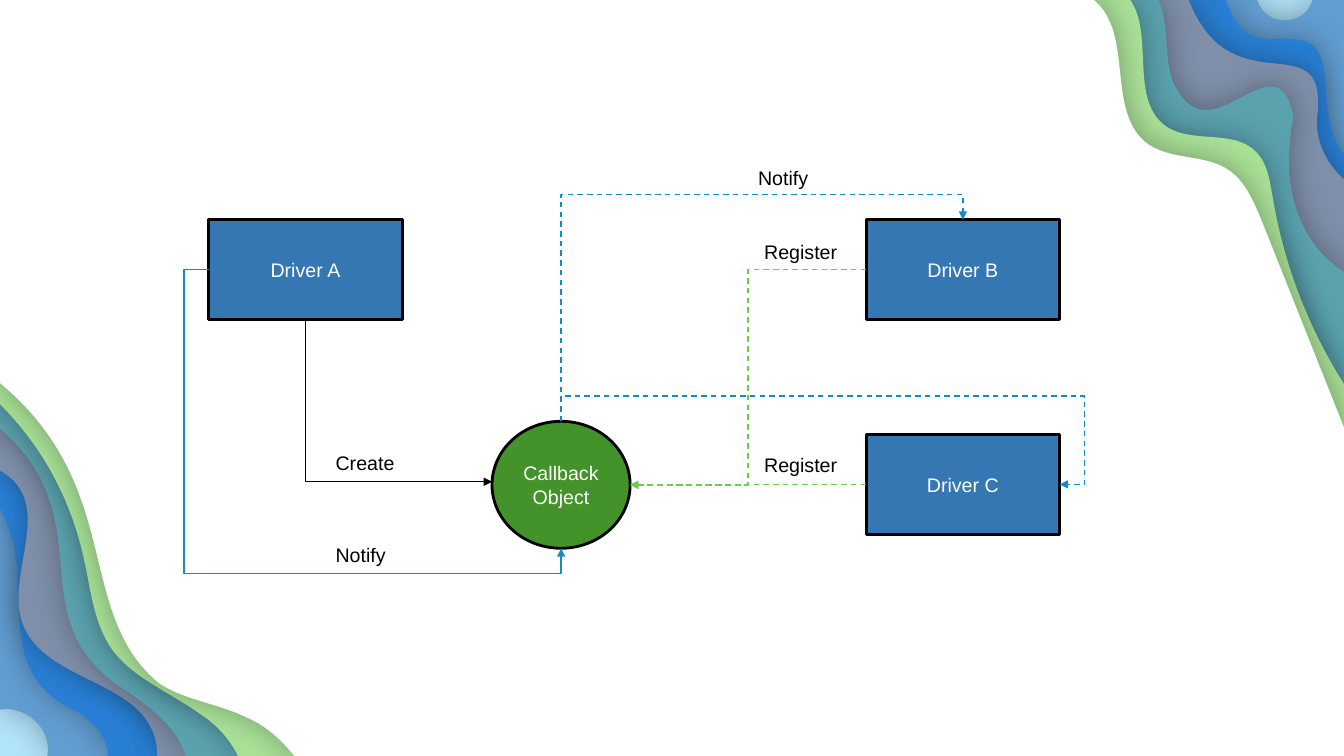
from dataclasses import dataclass

from lxml import etree
from pptx import Presentation
from pptx.dml.color import RGBColor
from pptx.enum.dml import MSO_LINE
from pptx.enum.shapes import MSO_CONNECTOR, MSO_SHAPE
from pptx.enum.text import MSO_ANCHOR, MSO_AUTO_SIZE, PP_ALIGN
from pptx.oxml.ns import qn
from pptx.util import Inches, Pt

RECT, OVAL = MSO_SHAPE.RECTANGLE, MSO_SHAPE.OVAL
ELBOW, DASH = MSO_CONNECTOR.ELBOW, MSO_LINE.DASH
MIDDLE, CENTER, LEFT = MSO_ANCHOR.MIDDLE, PP_ALIGN.CENTER, PP_ALIGN.LEFT
GROW = MSO_AUTO_SIZE.SHAPE_TO_FIT_TEXT

BLACK = RGBColor(0x00, 0x00, 0x00)
WHITE = RGBColor(0xFF, 0xFF, 0xFF)
PALE_BLUE = RGBColor(0xB1, 0xE3, 0xF9)
SKY = RGBColor(0x62, 0x9D, 0xD1)
BLUE = RGBColor(0x29, 0x7F, 0xD5)
SLATE = RGBColor(0x7F, 0x8F, 0xA9)
TEAL = RGBColor(0x5A, 0xA2, 0xAE)
LIGHT_GREEN = RGBColor(0xA9, 0xE1, 0x97)
DRIVER_BLUE = RGBColor(0x34, 0x77, 0xB2)
CALLBACK_GREEN = RGBColor(0x43, 0x92, 0x2A)
REGISTER_GREEN = RGBColor(0x6D, 0xCC, 0x4E)
NOTIFY_BLUE = RGBColor(0x0F, 0x8E, 0xC6)

SLIDE_W, SLIDE_H = 13.33, 7.5
FONT_FORMAT = {"name": "Arial", "size": Pt(14)}
NODE_FRAME = {"word_wrap": True, "vertical_anchor": MIDDLE}
LABEL_FRAME = {"word_wrap": True, "auto_size": GROW}
LABEL_SIZE = (1.38, 0.4)

Point = tuple[float, float]


@dataclass(frozen=True)
class Wave:
    """Outline steps: two numbers are a line, six are a Bézier curve."""
    color: RGBColor
    upper_right: list[tuple[float, ...]]
    lower_left: list[tuple[float, ...]]


@dataclass(frozen=True)
class Node:
    text: str
    left: float
    top: float
    width: float = 1.92
    height: float = 0.99
    fill: RGBColor = DRIVER_BLUE
    preset: MSO_SHAPE = RECT

    def side(self, across: float, down: float) -> Point:
        """Point at the given fractions of the width and height."""
        return self.left + across * self.width, self.top + down * self.height


@dataclass(frozen=True)
class Link:
    begin: Point
    end: Point
    color: RGBColor
    bends: int
    rotation: int
    flips: str = ""
    adjust: tuple[float, ...] = ()
    dashed: bool = True


@dataclass(frozen=True)
class Label:
    text: str
    left: float
    top: float


WAVES = [
    Wave(SKY, [(13.33, 0), (13.02, 0), (12.94, 0.27, 12.55, 0.27, 12.47, 0)],
         [(0, 7.04), (0.26, 7, 0.52, 7.23, 0.47, 7.5)]),
    Wave(BLUE, [(13.33, 1.53), (13.03, 1.14, 13.26, 0.62, 13, 0.43),
                (12.71, 0.29, 12.34, 0.59, 12.16, 0)],
         [(0, 5.05), (0.42, 5.76, -0.16, 6.65, 0.78, 7.07),
          (0.93, 7.17, 1.07, 7.31, 1.07, 7.5)]),
    Wave(SLATE, [(13.33, 1.78), (13.16, 1.63, 13.06, 1.42, 13.06, 1.2),
                 (13.2, 0.16, 12.23, 1.12, 11.79, 0)],
         [(0, 4.67), (0.58, 4.99, 0.03, 5.72, 0.23, 6.2),
          (0.47, 6.81, 1.56, 6.74, 1.56, 7.5)]),
    Wave(TEAL, [(13.33, 2.7), (12.81, 2.36, 12.71, 1.73, 12.83, 1.16),
                (12.66, 0.3, 11.99, 1.64, 11.63, 0.8),
                (11.54, 0.54, 11.6, 0.25, 11.49, 0)],
         [(0, 4.25), (1.07, 5.18, 0.12, 6.17, 1.28, 6.87),
          (1.51, 7.04, 1.76, 7.22, 1.84, 7.5)]),
    Wave(LIGHT_GREEN, [(13.33, 3.81), (12.97, 3.24, 12.73, 2.61, 12.62, 1.94),
                       (12.59, 1.78, 12.57, 1.61, 12.45, 1.5),
                       (12.23, 1.28, 11.82, 1.43, 11.56, 1.25),
                       (11.2, 0.99, 11.45, 0.34, 11.21, 0)],
         [(0, 4.01), (0.41, 4.42, 0.69, 4.93, 0.82, 5.49),
          (0.9, 5.82, 0.92, 6.17, 1.11, 6.44), (1.32, 6.73, 1.69, 6.87, 1.98, 7.08),
          (2.14, 7.18, 2.28, 7.33, 2.36, 7.5)]),
    Wave(WHITE, [(13.33, 4.24), (12.51, 2.18), (12.43, 1.99, 12.35, 1.8, 12.19, 1.69),
                 (11.95, 1.52, 11.6, 1.6, 11.36, 1.41),
                 (10.97, 1.08, 11.25, 0.33, 10.85, 0)],
         [(0, 3.8), (1.25, 4.84, 0.73, 6.08, 1.58, 6.78),
          (1.84, 6.95, 2.17, 6.98, 2.45, 7.12), (2.64, 7.2, 2.79, 7.34, 2.92, 7.5)]),
]

DRIVER_A = Node("Driver A", 2.07, 2.18)
DRIVER_B = Node("Driver B", 8.59, 2.18)
DRIVER_C = Node("Driver C", 8.59, 4.31)
CALLBACK = Node("Callback\nObject", 4.88, 4.18, 1.37, 1.26, CALLBACK_GREEN, OVAL)
TOP, LEFT_SIDE, BOTTOM, RIGHT_SIDE = (0.5, 0), (0, 0.5), (0.5, 1), (1, 0.5)

LINKS = [
    Link(DRIVER_A.side(*BOTTOM), (4.88, 4.78), BLACK, 2, 270, "H", dashed=False),
    Link(DRIVER_B.side(*LEFT_SIDE), CALLBACK.side(*RIGHT_SIDE),
         REGISTER_GREEN, 3, 180, "V", (0.5,)),
    Link(DRIVER_C.side(*LEFT_SIDE), CALLBACK.side(*RIGHT_SIDE),
         REGISTER_GREEN, 3, 180, "V", (0.5,)),
    Link(DRIVER_A.side(*LEFT_SIDE), CALLBACK.side(*BOTTOM),
         NOTIFY_BLUE, 4, 180, "HV", (-0.07, 1.09), dashed=False),
    Link(CALLBACK.side(*TOP), DRIVER_B.side(*TOP), NOTIFY_BLUE, 3, 90, "HV", (1.125,)),
    Link(CALLBACK.side(*TOP), DRIVER_C.side(*RIGHT_SIDE),
         NOTIFY_BLUE, 4, 270, "H", (-0.4, 1.05)),
]
LABELS = [
    Label("Create", 3.23, 4.42), Label("Register", 7.48, 4.44),
    Label("Register", 7.48, 2.33), Label("Notify", 3.23, 5.34),
    Label("Notify", 7.42, 1.6),
]


def apply(target: object, values: dict) -> None:
    for attribute, value in values.items():
        setattr(target, attribute, value)


def add_child(parent, tag: str, **attributes: str):
    return etree.SubElement(parent, qn(tag), attributes)


def write_text(shape, text: str, color: RGBColor, align: PP_ALIGN, frame: dict) -> None:
    apply(shape.text_frame, frame)
    shape.text_frame.text = text
    for paragraph in shape.text_frame.paragraphs:
        paragraph.alignment = align
        apply(paragraph.runs[0].font, FONT_FORMAT)
        paragraph.runs[0].font.color.rgb = color


def bend_lines(shape, steps: list[tuple[float, ...]]) -> None:
    """Turn the segments that have control points into cubic curves."""
    segments = list(shape._element.iter(qn("a:lnTo")))
    for segment, step in zip(segments, steps):
        if len(step) == 6:
            curve = etree.Element(qn("a:cubicBezTo"))
            for x, y in zip(step[::2], step[1::2]):
                add_child(curve, "a:pt", x=str(Inches(x)), y=str(Inches(y)))
            segment.getparent().replace(segment, curve)


def add_wave(slide, wave: Wave) -> None:
    steps = [*wave.upper_right, (0, 0), *wave.lower_left, (SLIDE_W, SLIDE_H)]
    start, *corners = [(Inches(step[-2]), Inches(step[-1])) for step in steps]
    builder = slide.shapes.build_freeform(*start)
    builder.add_line_segments(corners, close=True)
    shape = builder.convert_to_shape()
    bend_lines(shape, steps[1:])
    shape.fill.solid()
    shape.fill.fore_color.rgb = wave.color
    shape.line.fill.background()
    shape.shadow.inherit = False
    effects = shape._element.spPr.find(qn("a:effectLst"))
    shadow = add_child(effects, "a:outerShdw", blurRad=str(Pt(22.5)),
                       dist=str(Pt(0.8)), dir="0", algn="ctr", rotWithShape="0")
    add_child(add_child(shadow, "a:srgbClr", val=str(BLACK)), "a:alpha", val="30000")


def add_node(slide, node: Node) -> None:
    box = map(Inches, (node.left, node.top, node.width, node.height))
    shape = slide.shapes.add_shape(node.preset, *box)
    shape.shadow.inherit = False
    shape.fill.solid()
    shape.fill.fore_color.rgb = node.fill
    shape.line.color.rgb = BLACK
    shape.line.width = Pt(2)
    write_text(shape, node.text, WHITE, CENTER, NODE_FRAME)


def add_link(slide, link: Link) -> None:
    """Draw an elbow arrow; a quarter turn swaps the sides of its frame."""
    (x1, y1), (x2, y2) = link.begin, link.end
    width, height = abs(x2 - x1), abs(y2 - y1)
    if link.rotation % 180:
        width, height = height, width
    left, top = (x1 + x2 - width) / 2, (y1 + y2 - height) / 2
    corners = map(Inches, (left, top, left + width, top + height))
    connector = slide.shapes.add_connector(ELBOW, *corners)
    connector.line.color.rgb = link.color
    connector.line.width = Pt(1)
    if link.dashed:
        connector.line.dash_style = DASH
    properties = connector._element.spPr
    frame = properties.find(qn("a:xfrm"))
    frame.set("rot", str(link.rotation * 60000))
    for axis in link.flips:
        frame.set(f"flip{axis}", "1")
    geometry = properties.find(qn("a:prstGeom"))
    geometry.set("prst", f"bentConnector{link.bends}")
    for number, value in enumerate(link.adjust, 1):
        add_child(geometry.find(qn("a:avLst")), "a:gd", name=f"adj{number}",
                  fmla=f"val {round(value * 100000)}")
    add_child(properties.find(qn("a:ln")), "a:tailEnd", type="triangle")
    add_child(properties, "a:effectLst")


def add_label(slide, label: Label) -> None:
    box = map(Inches, (label.left, label.top, *LABEL_SIZE))
    write_text(slide.shapes.add_textbox(*box), label.text, BLACK, LEFT, LABEL_FRAME)


def main() -> None:
    deck = Presentation()
    apply(deck, {"slide_width": Inches(SLIDE_W), "slide_height": Inches(SLIDE_H)})
    slide = deck.slides.add_slide(deck.slide_layouts[6])
    slide.background.fill.solid()
    slide.background.fill.fore_color.rgb = PALE_BLUE
    for wave in WAVES:
        add_wave(slide, wave)
    for node in (DRIVER_A, DRIVER_B, CALLBACK, DRIVER_C):
        add_node(slide, node)
    for link in LINKS:
        add_link(slide, link)
    for label in LABELS:
        add_label(slide, label)
    deck.save("out.pptx")


if __name__ == "__main__":
    main()
